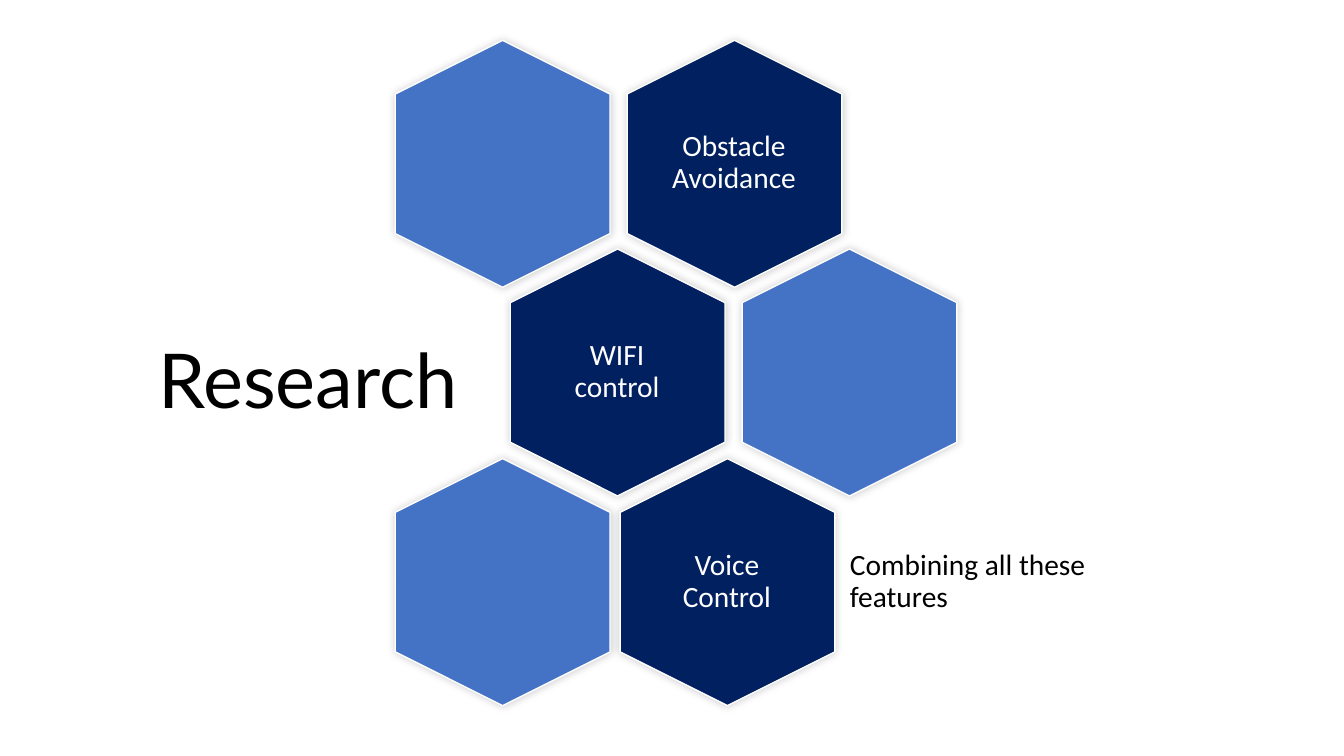
"""Build the research slide with its honeycomb of features."""
from dataclasses import dataclass

from lxml.etree import SubElement
from pptx import Presentation
from pptx.dml.color import RGBColor
from pptx.enum.shapes import MSO_SHAPE
from pptx.enum.text import MSO_ANCHOR, MSO_AUTO_SIZE, PP_ALIGN
from pptx.oxml.ns import qn
from pptx.shapes.autoshape import Shape
from pptx.slide import Slide
from pptx.util import Emu, Pt

EMU_PER_PX = 9144


@dataclass(frozen=True)
class Theme:
    navy: RGBColor = RGBColor(0x00, 0x20, 0x60)
    blue: RGBColor = RGBColor(0x44, 0x72, 0xC4)
    white: RGBColor = RGBColor(0xFF, 0xFF, 0xFF)
    black: RGBColor = RGBColor(0x00, 0x00, 0x00)
    heading_font: str = "Lato"
    body_font: str = "Calibri"
    heading_size: Pt = Pt(54)
    body_size: Pt = Pt(21)
    outline: Pt = Pt(1)
    shadow_blur: Pt = Pt(6)


@dataclass(frozen=True)
class Box:
    left: int
    top: int
    width: int
    height: int

    def emu(self) -> tuple[Emu, ...]:
        return tuple(px(n) for n in (self.left, self.top, self.width, self.height))


@dataclass(frozen=True)
class Cell:
    column: int
    row: int
    feature: str = ""
    shift: int = 0

    def box(self) -> Box:
        left = 376 + 230 * self.column + 114 * (self.row % 2) + self.shift
        return Box(left, 56 + 415 * self.row // 2, 245, 213)


THEME = Theme()
HONEYCOMB = (
    Cell(1, 0, "Obstacle Avoidance"),
    Cell(0, 0),
    Cell(0, 1, "WIFI control"),
    Cell(1, 1),
    Cell(1, 2, "Voice Control", shift=-7),
    Cell(0, 2),
)


def px(length: int) -> Emu:
    return Emu(length * EMU_PER_PX)


def add_glow(hexagon: Shape) -> None:
    hexagon.shadow.inherit = False
    effects = hexagon._element.spPr.find(qn("a:effectLst"))
    shadow = SubElement(
        effects, qn("a:outerShdw"), blurRad=str(THEME.shadow_blur),
        dist="0", dir="18900000", algn="bl", rotWithShape="0",
    )
    colour = SubElement(shadow, qn("a:srgbClr"), val=str(THEME.black))
    SubElement(colour, qn("a:alpha"), val="20000")


def add_caption(slide: Slide, box: Box, words: str, colour: RGBColor,
                alignment: PP_ALIGN) -> None:
    frame = slide.shapes.add_textbox(*box.emu()).text_frame
    frame.word_wrap = True
    frame.vertical_anchor = MSO_ANCHOR.MIDDLE
    frame.margin_left = frame.margin_right = px(9)
    frame.margin_top = frame.margin_bottom = px(9)
    caption = frame.paragraphs[0]
    caption.text = words
    caption.alignment = alignment
    caption.line_spacing = 0.9
    caption.font.name = THEME.body_font
    caption.font.size = THEME.body_size
    caption.font.color.rgb = colour


def add_cell(slide: Slide, cell: Cell) -> None:
    box = cell.box()
    hexagon = slide.shapes.add_shape(MSO_SHAPE.HEXAGON, *box.emu())
    hexagon.rotation = 90
    hexagon.fill.solid()
    hexagon.fill.fore_color.rgb = THEME.navy if cell.feature else THEME.blue
    hexagon.line.color.rgb = THEME.white
    hexagon.line.width = THEME.outline
    add_glow(hexagon)
    if cell.feature:
        label_box = Box(box.left + 49, box.top + 22, 146, 168)
        add_caption(slide, label_box, cell.feature, THEME.white, PP_ALIGN.CENTER)


def set_heading(slide: Slide) -> None:
    heading = slide.shapes.title
    heading.left, heading.top, heading.width, heading.height = Box(147, 325, 333, 101).emu()
    frame = heading.text_frame
    frame.text = "Research"
    frame.word_wrap = True
    frame.auto_size = MSO_AUTO_SIZE.SHAPE_TO_FIT_TEXT
    frame.vertical_anchor = MSO_ANCHOR.TOP
    line = frame.paragraphs[0]
    line.alignment = PP_ALIGN.LEFT
    line.line_spacing = 1.0
    line.font.name = THEME.heading_font
    line.font.size = THEME.heading_size
    line.font.color.rgb = THEME.black


def main() -> None:
    deck = Presentation()
    deck.slide_width, deck.slide_height = px(1333), px(750)
    slide = deck.slides.add_slide(deck.slide_layouts[5])
    for cell in HONEYCOMB:
        add_cell(slide, cell)
    add_caption(slide, Box(834, 504, 273, 147), "Combining all these features",
                THEME.black, PP_ALIGN.LEFT)
    set_heading(slide)
    deck.save("out.pptx")


if __name__ == "__main__":
    main()
